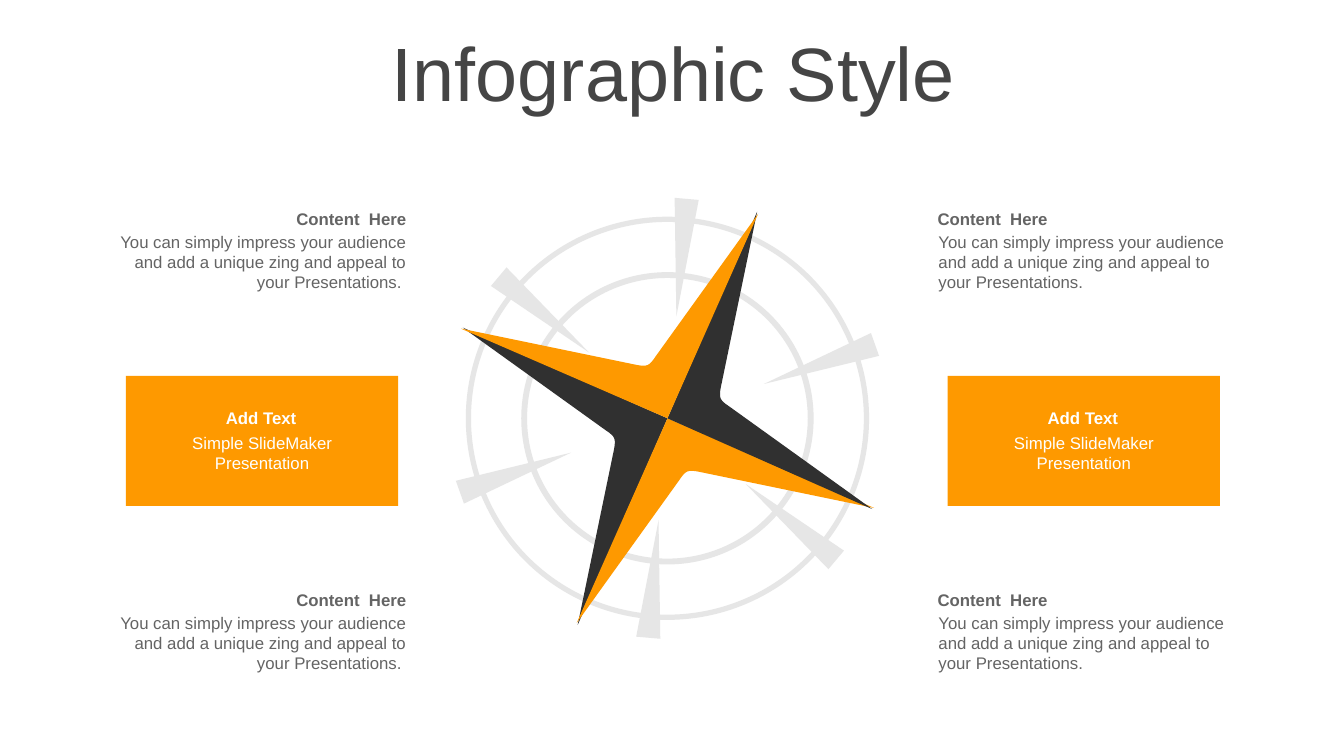
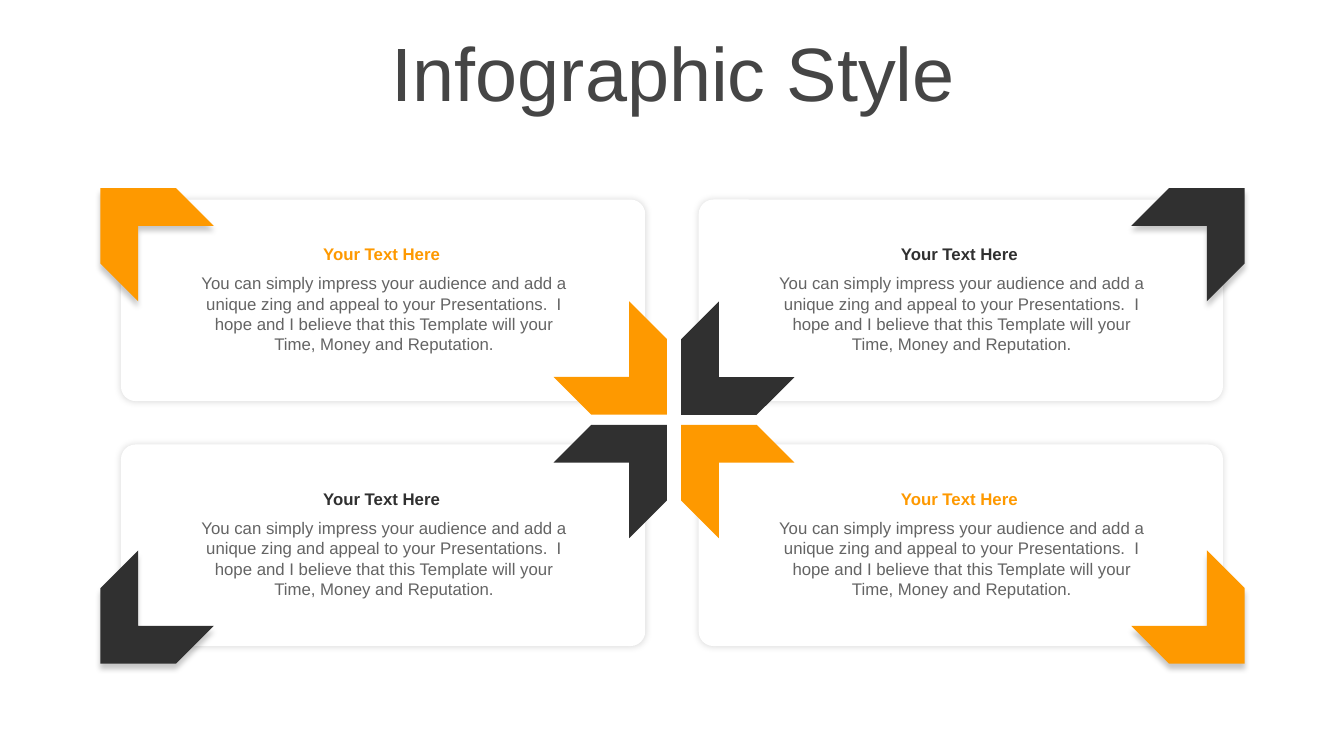
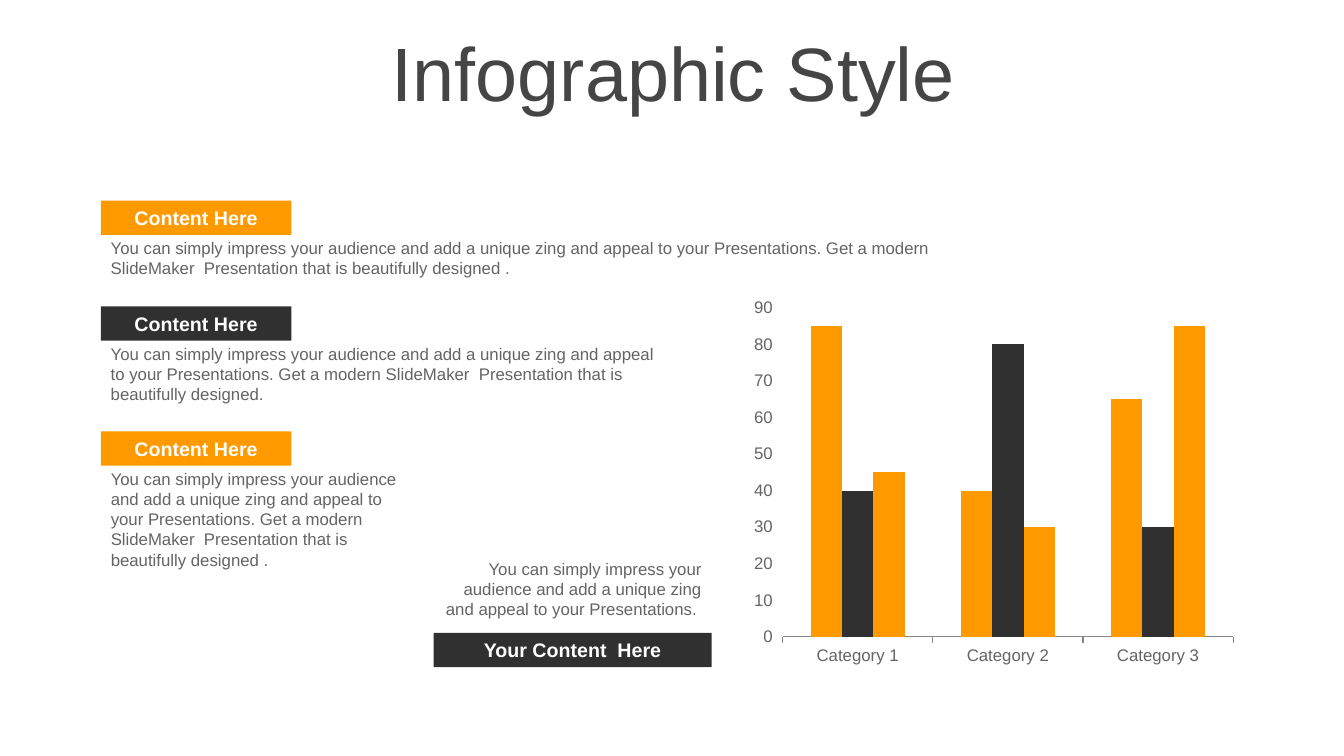
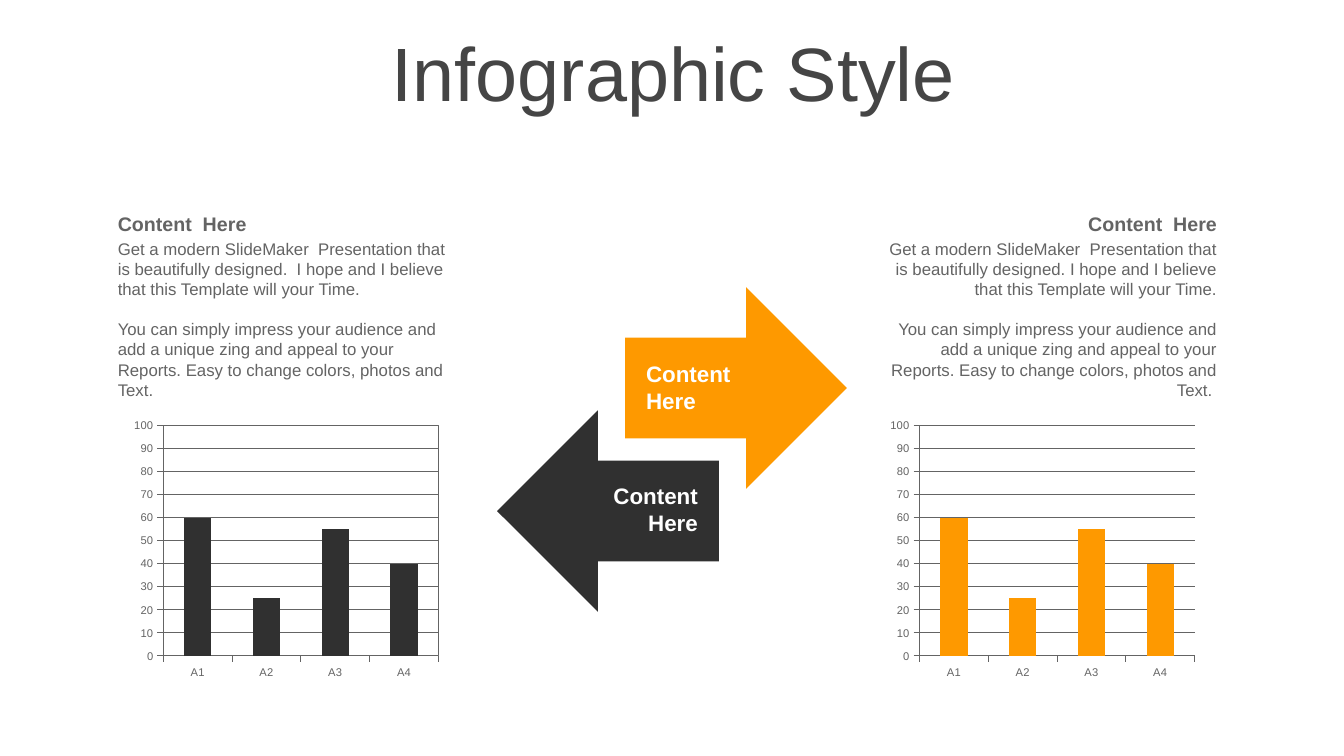
from dataclasses import dataclass
from math import cos, radians, sin

from lxml.etree import SubElement
from pptx import Presentation
from pptx.chart.data import CategoryChartData
from pptx.dml.color import RGBColor
from pptx.enum.chart import XL_CHART_TYPE as ChartType, XL_TICK_MARK as Tick
from pptx.enum.shapes import MSO_SHAPE as Preset
from pptx.enum.text import MSO_ANCHOR as Anchor, MSO_AUTO_SIZE as AutoSize, PP_ALIGN as Align
from pptx.oxml import parse_xml
from pptx.oxml.ns import nsdecls, qn
from pptx.util import Inches, Pt


@dataclass(frozen=True)
class Theme:
    font: str = "Arial"
    orange: str = "FE9900"
    dark: str = "303030"
    grey: str = "646464"
    pale: str = "E6E6E6"
    white: str = "FFFFFF"
    title: str = "454545"
    axis: str = "888888"
    title_size: int = 54
    callout_size: int = 16
    label_size: int = 14
    text_size: int = 12
    small_size: int = 8


@dataclass(frozen=True)
class Box:
    left: float
    top: float
    width: float
    height: float

    def inches(self):
        return [Inches(v) for v in (self.left, self.top, self.width, self.height)]

    def inner(self, dx, dy, width, height):
        return Box(self.left + dx, self.top + dy, width, height)

    def centre(self):
        return self.left + self.width / 2, self.top + self.height / 2


THEME = Theme()
TITLE = "Infographic Style"
TITLE_BOX = Box(0.35, 0.37, 12.66, 0.79)
IMPRESS = "You can simply impress your audience and add a unique zing and appeal to your Presentations."
DESIGNED = "Get a modern SlideMaker  Presentation that is beautifully designed"
HOPE = "I hope and I believe that this Template will your Time"
REPORTS = ("You can simply impress your audience and add a unique zing and appeal to your "
           "Reports. Easy to change colors, photos and Text.")
CARD_SHADOW = {"blur": 5, "distance": 0, "direction": 0, "alpha": 14}
CORNER_SHADOW = {"blur": 4, "distance": 4, "direction": 90, "alpha": 22}


def rgb(colour):
    return RGBColor.from_string(colour)


def assign(target, values):
    for name, value in values.items():
        setattr(target, name, value)


def style_font(font, size, colour, bold=False):
    assign(font, {"name": THEME.font, "size": Pt(size), "bold": bold})
    font.color.rgb = rgb(colour)


def write(frame, paragraphs, size, colour, bold=False, align=Align.LEFT,
          anchor=Anchor.TOP, gap=0):
    assign(frame, {"word_wrap": True, "auto_size": AutoSize.NONE, "vertical_anchor": anchor})
    for index, words in enumerate(paragraphs):
        paragraph = frame.add_paragraph() if index else frame.paragraphs[0]
        paragraph.alignment = align
        if index and gap:
            paragraph.space_before = Pt(gap)
        run = paragraph.add_run()
        run.text = words
        style_font(run.font, size, colour, bold)


def add_text(slide, box, *paragraphs, size=THEME.text_size, colour=THEME.grey, **options):
    frame = slide.shapes.add_textbox(*box.inches()).text_frame
    write(frame, paragraphs, size, colour, **options)


def paint(shape, colour, shadow=None):
    shape.shadow.inherit = False
    shape.fill.solid()
    shape.fill.fore_color.rgb = rgb(colour)
    shape.line.fill.background()
    if shadow:
        effects = shape._element.spPr.find(qn("a:effectLst"))
        outer = SubElement(effects, qn("a:outerShdw"), {
            "blurRad": str(Pt(shadow["blur"])), "dist": str(Pt(shadow["distance"])),
            "dir": str(shadow["direction"] * 60000), "algn": "ctr", "rotWithShape": "0"})
        black = SubElement(outer, qn("a:srgbClr"), {"val": "000000"})
        SubElement(black, qn("a:alpha"), {"val": str(shadow["alpha"] * 1000)})


def add_preset(slide, preset, box, colour, rotation=0, adjust=None, shadow=None):
    shape = slide.shapes.add_shape(preset, *box.inches())
    shape.rotation = rotation
    if adjust is not None:
        shape.adjustments[0] = adjust
    paint(shape, colour, shadow)
    return shape


def new_slide(deck):
    slide = deck.slides.add_slide(deck.slide_layouts[5])
    heading = slide.shapes.title
    assign(heading, dict(zip(("left", "top", "width", "height"), TITLE_BOX.inches())))
    write(heading.text_frame, [TITLE], THEME.title_size, THEME.title,
          align=Align.CENTER, anchor=Anchor.MIDDLE)
    heading.text_frame.paragraphs[0].line_spacing = 0.9
    return slide


def blade_points():
    corner = ((-0.53, 0.31), (-0.51, 0.2), (-0.52, 0.18), (-0.61, 0.12))
    points = [(0, 0), (-0.89, 2.05)]
    for step in range(9):
        t = step / 8
        weights = ((1 - t) ** 3, 3 * t * (1 - t) ** 2, 3 * t * t * (1 - t), t ** 3)
        points.append(tuple(sum(w * p[axis] for w, p in zip(weights, corner))
                            for axis in (0, 1)))
    return points + [(-2.03, -0.9)]


def add_compass(slide, box):
    x, y = box.centre()
    for diameter, thickness in ((2.9, 0.02), (box.width, 0.013)):
        ring = Box(x - diameter / 2, y - diameter / 2, diameter, diameter)
        add_preset(slide, Preset.DONUT, ring, THEME.pale, adjust=thickness)
    blade = blade_points()
    for quarter in range(4):
        outline = [(Inches(x + dx), Inches(y + dy)) for dx, dy in blade]
        builder = slide.shapes.build_freeform(*outline[0])
        builder.add_line_segments(outline[1:], close=True)
        paint(builder.convert_to_shape(), (THEME.dark, THEME.orange)[quarter % 2])
        blade = [(dy, -dx) for dx, dy in blade]
    radius, width, length = 1.6, 0.24, 1.17
    for base in (5, 70.4, 130):
        for angle in (base, base + 180):
            pointer = Box(x - radius * sin(radians(angle)) - width / 2,
                          y + radius * cos(radians(angle)) - length / 2, width, length)
            add_preset(slide, Preset.ISOSCELES_TRIANGLE, pointer, THEME.pale, angle)


def add_note(slide, box, align, body):
    add_text(slide, box.inner(0, 0, box.width, 0.3), "Content  Here",
             bold=True, align=align, anchor=Anchor.MIDDLE)
    add_text(slide, box.inner(0.01, 0.23, box.width - 0.01, 0.71), body, align=align)


def add_banner(slide, box):
    add_preset(slide, Preset.RECTANGLE, box, THEME.orange)
    options = {"colour": THEME.white, "align": Align.CENTER}
    add_text(slide, box.inner(0.48, 0.27, 1.72, 0.3), "Add Text", bold=True, **options)
    add_text(slide, box.inner(0.49, 0.51, 1.72, 0.5), "Simple SlideMaker Presentation", **options)


def compass_slide(deck):
    slide = new_slide(deck)
    add_compass(slide, Box(4.62, 2.15, 4, 4))
    for top in (2.02, 5.8):
        add_note(slide, Box(1.06, top, 3.07, 0.94), Align.RIGHT, IMPRESS + " ")
        add_note(slide, Box(9.2, top, 3.08, 0.94), Align.LEFT, IMPRESS)
    for left in (1.25, 9.4):
        add_banner(slide, Box(left, 3.73, 2.7, 1.29))


def add_card(slide, box, colour, outer_angle, outer, inner):
    add_preset(slide, Preset.ROUNDED_RECTANGLE, box, THEME.white,
               adjust=0.073, shadow=CARD_SHADOW)
    size = 1.06
    corners = ((inner, (outer_angle + 180) % 360, None),
               (outer, outer_angle, CORNER_SHADOW))
    for (over_x, over_y), angle, shadow in corners:
        dx = -over_x if 90 < angle < 270 else box.width + over_x - size
        dy = -over_y if angle > 180 else box.height + over_y - size
        add_preset(slide, Preset.CHEVRON, box.inner(dx, dy, size, size), colour,
                   angle, shadow=shadow)
    add_text(slide, box.inner(0.66, 0.39, 3.85, 0.3), "Your Text Here",
             colour=colour, bold=True, align=Align.CENTER)
    add_text(slide, box.inner(0.67, 0.68, 3.88, 0.91),
             f"{IMPRESS}  {HOPE}, Money and Reputation.", align=Align.CENTER)


def cards_slide(deck):
    slide = new_slide(deck)
    columns = ((1.2, 0.36, 0.37), (6.93, 0.37, 0.33))
    rows = ((1.98, 0.27, 0.29), (4.41, 0.33, 0.35))
    angles = ((225, 315), (135, 45))
    for row, (top, outer_y, inner_y) in enumerate(rows):
        for column, (left, outer_x, inner_x) in enumerate(columns):
            add_card(slide, Box(left, top, 5.2, 2),
                     (THEME.orange, THEME.dark)[(row + column) % 2], angles[row][column],
                     (outer_x, outer_y), (inner_x, inner_y))


def add_columns(slide, box, categories, series, size, maximum, gap, overlap):
    data = CategoryChartData(number_format="General")
    data.categories = categories
    for number, (values, _) in enumerate(series, 1):
        data.add_series(f"Series {number}", values)
    chart = slide.shapes.add_chart(ChartType.COLUMN_CLUSTERED, *box.inches(), data).chart
    assign(chart, {"has_legend": False, "has_title": False})
    style_font(chart.font, size, THEME.grey)
    plot = chart.plots[0]
    assign(plot, {"gap_width": gap, "overlap": overlap, "vary_by_categories": False})
    for bars, (_, colour) in zip(plot.series, series):
        bars.format.fill.solid()
        bars.format.fill.fore_color.rgb = rgb(colour)
    assign(chart.value_axis, {"minimum_scale": 0, "maximum_scale": maximum, "major_unit": 10,
                              "has_major_gridlines": False})
    for axis in (chart.category_axis, chart.value_axis):
        axis.major_tick_mark = Tick.OUTSIDE
        style_font(axis.tick_labels.font, size, THEME.grey)
    return chart


def rule_line(line, colour):
    line.color.rgb = rgb(colour)
    line.width = Pt(0.75)


def add_tag(slide, box, words, colour):
    tag = add_preset(slide, Preset.RECTANGLE, box, colour)
    write(tag.text_frame, [words], THEME.label_size, THEME.white, bold=True,
          align=Align.CENTER, anchor=Anchor.MIDDLE)


def add_tagged_text(slide, box, colour, body):
    add_tag(slide, box.inner(0, 0, 1.89, 0.34), "Content Here", colour)
    add_text(slide, box.inner(0, 0.32, box.width, box.height - 0.32), body)


def tagged_chart_slide(deck):
    slide = new_slide(deck)
    chart = add_columns(slide, Box(7.38, 2.89, 4.95, 3.78),
                        ["Category 1", "Category 2", "Category 3"],
                        [((85, 40, 65), THEME.orange), ((40, 80, 30), THEME.dark),
                         ((45, 30, 85), THEME.orange)], THEME.text_size, 90, 180, 0)
    rule_line(chart.category_axis.format.line, THEME.axis)
    chart.value_axis.format.line.fill.background()
    sections = ((1.99, 8.36, 0.82, THEME.orange, " ."),
                (3.04, 5.67, 1.03, THEME.dark, "."),
                (4.28, 3.08, 1.43, THEME.orange, " ."))
    for top, width, height, colour, ending in sections:
        add_tagged_text(slide, Box(1, top, width, height), colour,
                        f"{IMPRESS} {DESIGNED}{ending}")
    closing = Box(4.3, 5.49, 2.76, 1.13)
    add_tag(slide, closing.inner(0, 0.79, closing.width, 0.34), "Your Content  Here", THEME.dark)
    add_text(slide, closing.inner(0, 0, closing.width, 0.71), IMPRESS + " ", align=Align.RIGHT)


def add_report_chart(slide, box, colour, framed):
    chart = add_columns(slide, box, ["A1", "A2", "A3", "A4"],
                        [((60, 25, 55, 40), colour)], THEME.small_size, 100, 150, 100)
    chart.value_axis.has_major_gridlines = True
    for part in (chart.category_axis, chart.value_axis, chart.value_axis.major_gridlines):
        rule_line(part.format.line, THEME.grey)
    area = chart._chartSpace.chart.plotArea
    for old in area.findall(qn("c:layout")):
        area.remove(old)
    fields = {"layoutTarget": "inner", "xMode": "edge", "yMode": "edge",
              "x": 0.123, "y": 0.076, "w": 0.817, "h": 0.816}
    layout = parse_xml(f"<c:layout {nsdecls('c')}><c:manualLayout/></c:layout>")
    for name, value in fields.items():
        SubElement(layout[0], qn(f"c:{name}"), {"val": str(value)})
    area.insert(0, layout)
    if framed:
        area.append(parse_xml(
            f'<c:spPr {nsdecls("c", "a")}><a:noFill/><a:ln w="9525"><a:solidFill>'
            f'<a:srgbClr val="{THEME.grey}"/></a:solidFill></a:ln></c:spPr>'))


def add_report(slide, box, align, paragraphs):
    add_text(slide, box.inner(0, 0, box.width, 0.34), "Content  Here",
             size=THEME.label_size, bold=True, align=align, anchor=Anchor.MIDDLE)
    add_text(slide, box.inner(0, 0.27, box.width, 1.51), *paragraphs, align=align, gap=14)


def add_arrow(slide, box, colour, rotation, label_box, align):
    add_preset(slide, Preset.RIGHT_ARROW, box, colour, rotation)
    add_text(slide, label_box, "Content", "Here", size=THEME.callout_size,
             colour=THEME.white, bold=True, align=align, anchor=Anchor.MIDDLE)


def arrows_slide(deck):
    slide = new_slide(deck)
    right_arrow = Box(6.2, 2.85, 2.2, 2)
    left_arrow = Box(4.93, 4.07, 2.2, 2)
    add_arrow(slide, right_arrow, THEME.orange, 0,
              right_arrow.inner(0.11, 0.67, 1.62, 0.64), Align.LEFT)
    add_arrow(slide, left_arrow, THEME.dark, 180,
              left_arrow.inner(0.4, 0.66, 1.69, 0.64), Align.RIGHT)
    add_report(slide, Box(1.07, 2.05, 3.6, 1.78), Align.LEFT,
               [f"{DESIGNED}.  {HOPE}.", REPORTS])
    add_report(slide, Box(8.57, 2.05, 3.6, 1.78), Align.RIGHT,
               [f"{DESIGNED}. {HOPE}.", REPORTS + " "])
    add_report_chart(slide, Box(1.21, 4.01, 3.34, 2.8), THEME.dark, True)
    add_report_chart(slide, Box(8.71, 4.01, 3.34, 2.8), THEME.orange, False)


def main():
    deck = Presentation()
    assign(deck, {"slide_width": Inches(13.33), "slide_height": Inches(7.5)})
    for build in (compass_slide, cards_slide, tagged_chart_slide, arrows_slide):
        build(deck)
    deck.save("out.pptx")


if __name__ == "__main__":
    main()
